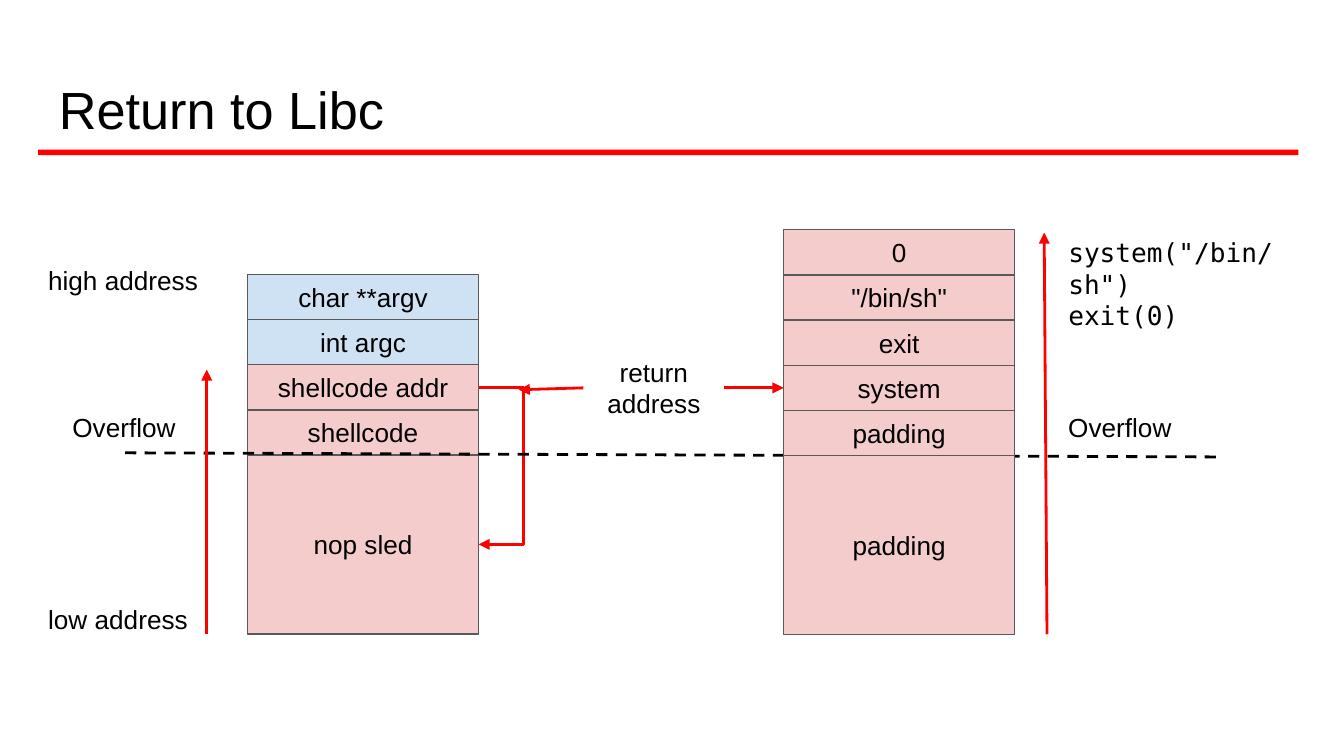
"""Build the Return to Libc slide with two stack layouts."""
from itertools import accumulate
from lxml.etree import SubElement as Sub
from pptx import Presentation
from pptx.dml.color import RGBColor as Rgb
from pptx.enum.dml import MSO_LINE as Dash
from pptx.enum.shapes import MSO_CONNECTOR as Conn, MSO_SHAPE as Kind
from pptx.enum.text import MSO_ANCHOR as Anchor, PP_ALIGN as Align
from pptx.oxml.ns import qn
from pptx.util import Pt


class Theme:
    red = Rgb(255, 0, 0)
    black = Rgb(0, 0, 0)
    edge = Rgb(0x59, 0x59, 0x59)
    blue = Rgb(0xCF, 0xE2, 0xF3)
    pink = Rgb(0xF4, 0xCC, 0xCC)
    sans, mono = "Arial", "DejaVu Sans Mono"
    head, body = Pt(28), Pt(14)
    thin, thick = Pt(0.75), Pt(1.5)


ROW, TALL, WIDE, INSET = 24.2, 95.8, 123.8, 7.2
LEFT = [("char **argv", Theme.blue), ("int argc", Theme.blue),
        ("shellcode addr", Theme.pink), ("shellcode", Theme.pink),
        ("nop sled", Theme.pink)]
RIGHT = [(word, Theme.pink) for word in
         ("0", '"/bin/sh"', "exit", "system", "padding", "padding")]
TITLE = ("Return to Libc", 24.5, 35.3, 671, 45.4)
NOTES = [("Overflow", 31.7, 213.1, 69.8, ROW),
         ("Overflow", 565.2, 213.1, 69.8, ROW),
         ("high address", 18.7, 134.6, 96.5, ROW),
         ("low address", 18.7, 316.1, 96.5, ROW)]
CODE = ('system("/bin/sh")\nexit(0)', 565.2, 119.5, 147.6, 54)
MID = ("return\naddress", 312.5, 195.7, 75.6, ROW)
RISES = [(110.8, 339.8, 110.8, 198), (560.9, 339.8, 559.4, 124.6)]
SPLIT = (67, 242.6, 653.8, 244.8)
TURN = 280.3

deck = Presentation()
deck.slide_width, deck.slide_height = Pt(720), Pt(405)
slide = deck.slides.add_slide(deck.slide_layouts[6])
shapes = slide.shapes


def apply(item, form):
    for name, value in form.items():
        setattr(item, name, value)


def write(shape, text, size=Theme.body, face=Theme.sans,
          align=Align.LEFT, anchor=Anchor.TOP):
    frame = shape.text_frame
    frame.text = text
    sides = ("left", "right", "top", "bottom")
    apply(frame, {"word_wrap": True, "vertical_anchor": anchor,
                  **{f"margin_{side}": Pt(INSET) for side in sides}})
    for para in frame.paragraphs:
        para.alignment = align
        apply(para.font, {"size": size, "name": face})
        para.font.color.rgb = Theme.black


def label(text, *area, **form):
    box = shapes.add_textbox(*map(Pt, area))
    write(box, text, **form)
    return box


def block(area, fill):
    box = shapes.add_shape(Kind.RECTANGLE, *map(Pt, area))
    box.shadow.inherit = False
    box.fill.solid()
    box.fill.fore_color.rgb = fill
    box.line.fill.background()
    return box


def stack(rows, x, y):
    highs = [ROW] * (len(rows) - 1) + [TALL]
    tops = accumulate(highs[:-1], initial=y)
    cells = []
    for (text, fill), top, high in zip(rows, tops, highs):
        cell = block((x, top, WIDE, high), fill)
        cell.line.color.rgb = Theme.edge
        cell.line.width = Theme.thin
        write(cell, text, align=Align.CENTER, anchor=Anchor.MIDDLE)
        cells.append(cell)
    return cells


def stroke(item, color=Theme.red, arrow=True):
    item.line.color.rgb = color
    item.line.width = Theme.thick
    if arrow:
        Sub(item.line._get_or_add_ln(), qn("a:tailEnd"), type="triangle")


def link(ends, **form):
    wire = shapes.add_connector(Conn.STRAIGHT, *map(Pt, ends))
    stroke(wire, **form)
    Sub(wire._element.spPr, qn("a:effectLst"))
    return wire


def middle(cell):
    return cell.top.pt + cell.height.pt / 2


block((20.4, 80.2, 675.2, 3), Theme.red)
label(*TITLE, size=Theme.head, anchor=Anchor.MIDDLE)

old = stack(LEFT, 132.6, 147)
side, start, stop = 132.6 + WIDE, middle(old[2]), middle(old[4])
path = shapes.build_freeform(Pt(side), Pt(start))
path.add_line_segments([tuple(map(Pt, spot)) for spot in
                        ((TURN, start), (TURN, stop), (side, stop))],
                       close=False)
jump = path.convert_to_shape()
jump.shadow.inherit = False
jump.fill.background()
stroke(jump)

link(SPLIT, color=Theme.black, arrow=False).line.dash_style = Dash.DASH
new = stack(RIGHT, 419.8, 123.1)
mid = label(*MID, align=Align.CENTER, anchor=Anchor.MIDDLE)
call = link((388.1, 207.8, 419.8, 207.8))
call.begin_connect(mid, 3)
call.end_connect(new[3], 1)
link((312.5, 207.8, 277.9, 208.8)).begin_connect(mid, 1)
for ends in RISES:
    link(ends)
for note in NOTES:
    label(*note)
label(*CODE, face=Theme.mono)

deck.save("out.pptx")
